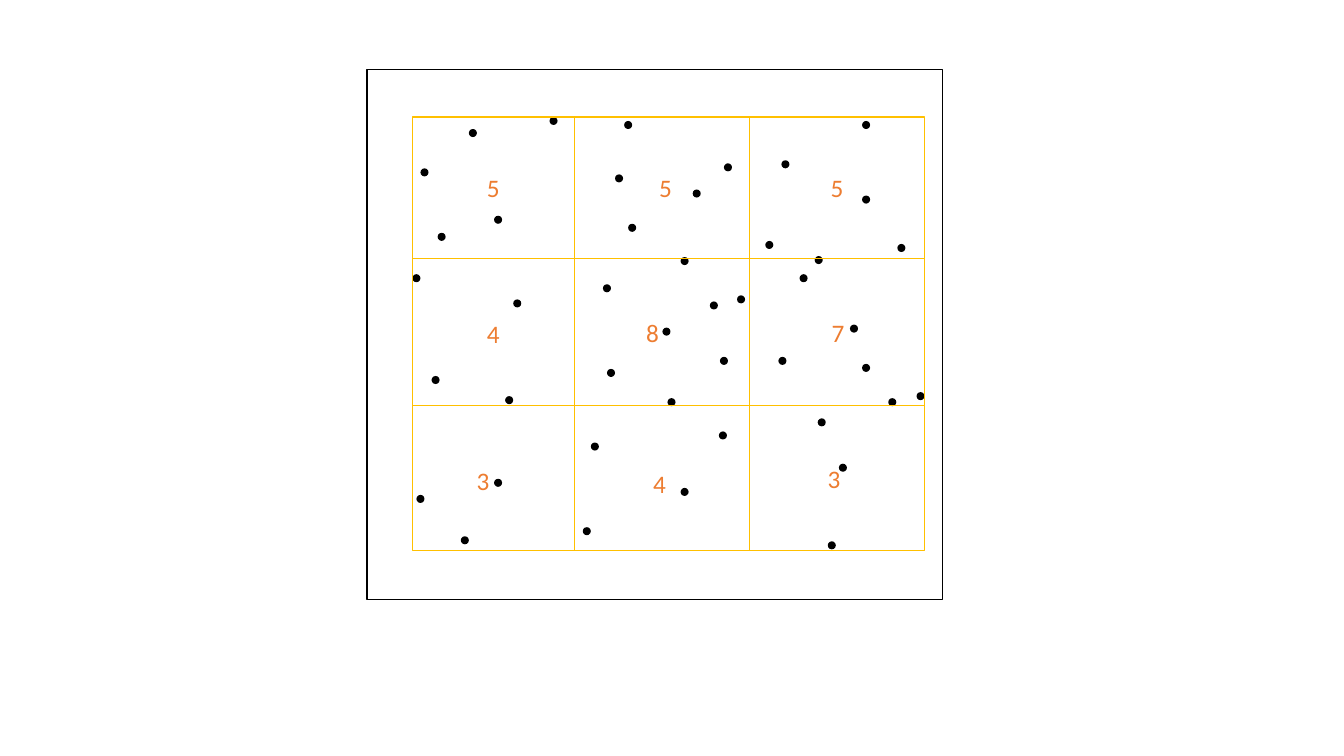
import dataclasses

import pptx
import pptx.dml.color
import pptx.enum.shapes
import pptx.enum.text
import pptx.oxml
import pptx.oxml.ns
import pptx.util

# The slide is a fine grid of columns and rows, 100 to the inch.
COLS, ROWS = 1333, 750
STEP = pptx.util.Inches(0.01)
BLACK, GOLD, ORANGE = "000000", "FFC000", "ED7D31"
KIND = pptx.enum.shapes.MSO_SHAPE
DOT = 8
Spot = tuple[int, int]


@dataclasses.dataclass(frozen=True)
class Box:
    col: int
    row: int
    wide: int
    high: int

    def place(self) -> list[int]:
        return [n * STEP for n in (self.col, self.row, self.wide, self.high)]


@dataclasses.dataclass(frozen=True)
class Cell:
    """A cell of the plot: where its count stands and the dots it holds."""
    mark: Spot
    dots: list[Spot]


FRAME = Box(364, 69, 571, 526)
PLOT = Box(409, 116, 508, 430)
RIGHT, BASE = PLOT.col + PLOT.wide, PLOT.row + PLOT.high
RULES = [
    ((PLOT.col, 256), (RIGHT, 256)),
    ((570, PLOT.row), (570, BASE)),
    ((743, PLOT.row), (743, BASE)),
    ((PLOT.col, 402), (RIGHT, 402)),
]
CELLS = [
    Cell((473, 166), [(490, 214), (417, 167), (465, 128), (434, 231),
                      (545, 116)]),
    Cell((644, 166), [(610, 173), (623, 222), (687, 188), (718, 162),
                      (619, 120)]),
    Cell((814, 166), [(775, 159), (855, 194), (855, 120), (759, 239),
                      (890, 242)]),
    Cell((473, 311), [(509, 297), (409, 272), (501, 393), (428, 373)]),
    Cell((631, 310), [(598, 282), (675, 255), (657, 325), (731, 293),
                      (602, 366), (714, 354), (662, 395), (704, 299)]),
    Cell((815, 310), [(808, 254), (855, 361), (881, 395), (909, 389),
                      (793, 272), (772, 354), (843, 322)]),
    Cell((463, 457), [(490, 475), (413, 491), (457, 532)]),
    Cell((638, 460), [(713, 428), (586, 439), (578, 523), (675, 484)]),
    Cell((811, 455), [(811, 415), (832, 460), (821, 537)]),
]


def tint(code: str) -> pptx.dml.color.RGBColor:
    return pptx.dml.color.RGBColor.from_string(code)


def draw_dot(slide, spot: Spot) -> None:
    dot = slide.shapes.add_shape(KIND.OVAL, *Box(*spot, DOT, DOT).place())
    dot.shadow.inherit = False
    dot.fill.solid()
    dot.fill.fore_color.rgb = tint(BLACK)
    dot.line.fill.background()


def draw_frame(slide, box: Box, code: str) -> None:
    frame = slide.shapes.add_shape(KIND.RECTANGLE, *box.place())
    frame.shadow.inherit = False
    frame.fill.background()
    frame.line.color.rgb = tint(code)
    frame.line.width = pptx.util.Pt(1)


def draw_rule(slide, start: Spot, end: Spot) -> None:
    ends = [n * STEP for n in start + end]
    rule = slide.shapes.add_connector(
        pptx.enum.shapes.MSO_CONNECTOR.STRAIGHT, *ends)
    rule.line.color.rgb = tint(GOLD)
    rule.line.width = pptx.util.Pt(0.5)
    props = rule._element.spPr
    props.append(pptx.oxml.parse_xml(
        f"<a:effectLst {pptx.oxml.ns.nsdecls('a')}/>"))


def draw_count(slide, cell: Cell) -> None:
    box = slide.shapes.add_textbox(*Box(*cell.mark, 33, 40).place())
    frame = box.text_frame
    frame.word_wrap = False
    frame.auto_size = pptx.enum.text.MSO_AUTO_SIZE.SHAPE_TO_FIT_TEXT
    run = frame.paragraphs[0].add_run()
    run.text = str(len(cell.dots))
    run.font.name = "Calibri"
    run.font.size = pptx.util.Pt(18)
    run.font.color.rgb = tint(ORANGE)


def main() -> None:
    deck = pptx.Presentation()
    deck.slide_width, deck.slide_height = COLS * STEP, ROWS * STEP
    slide = deck.slides.add_slide(deck.slide_layouts[6])
    draw_frame(slide, FRAME, BLACK)
    for cell in CELLS:
        for spot in cell.dots:
            draw_dot(slide, spot)
    draw_frame(slide, PLOT, GOLD)
    for start, end in RULES:
        draw_rule(slide, start, end)
    for cell in CELLS:
        draw_count(slide, cell)
    deck.save("out.pptx")


if __name__ == "__main__":
    main()
